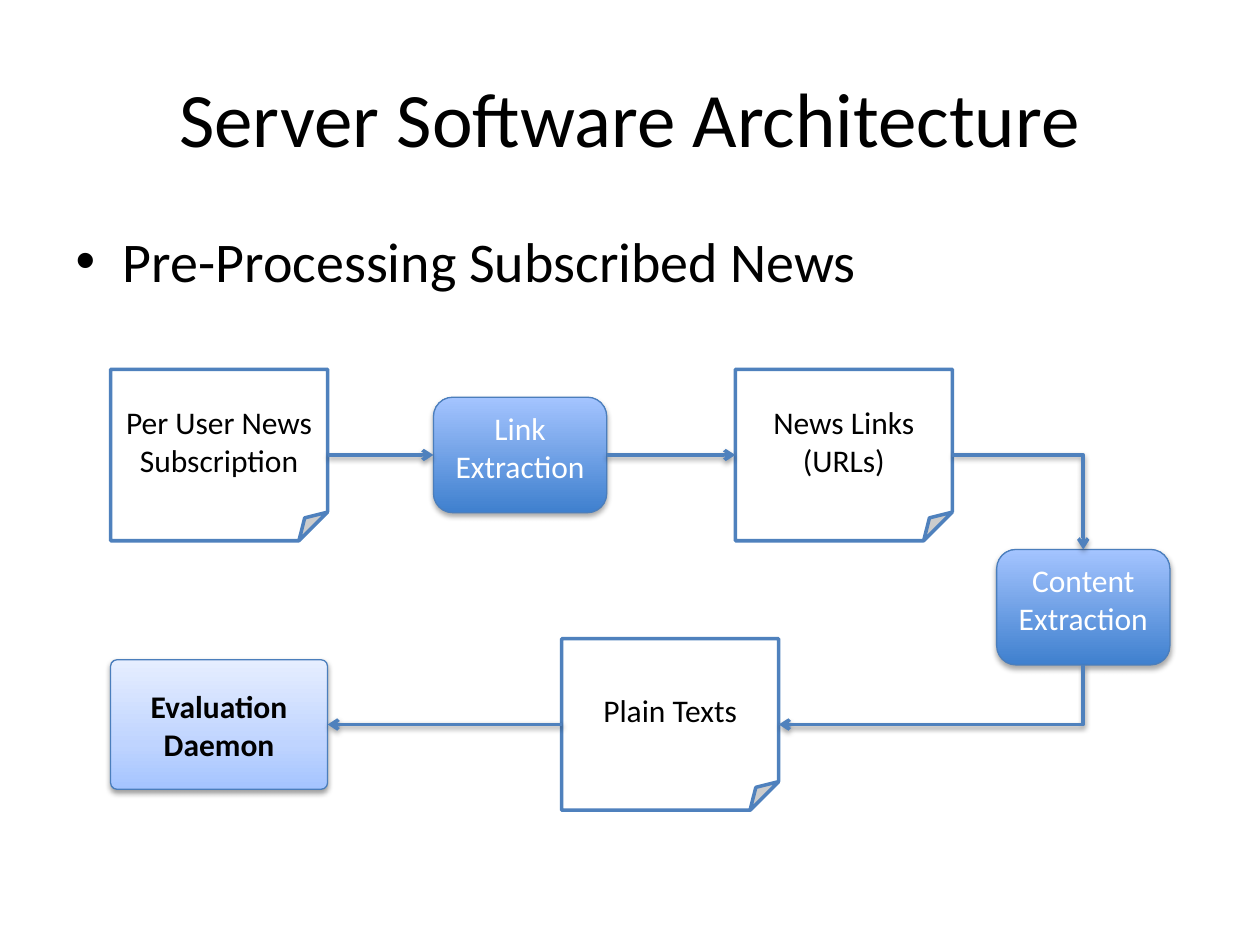
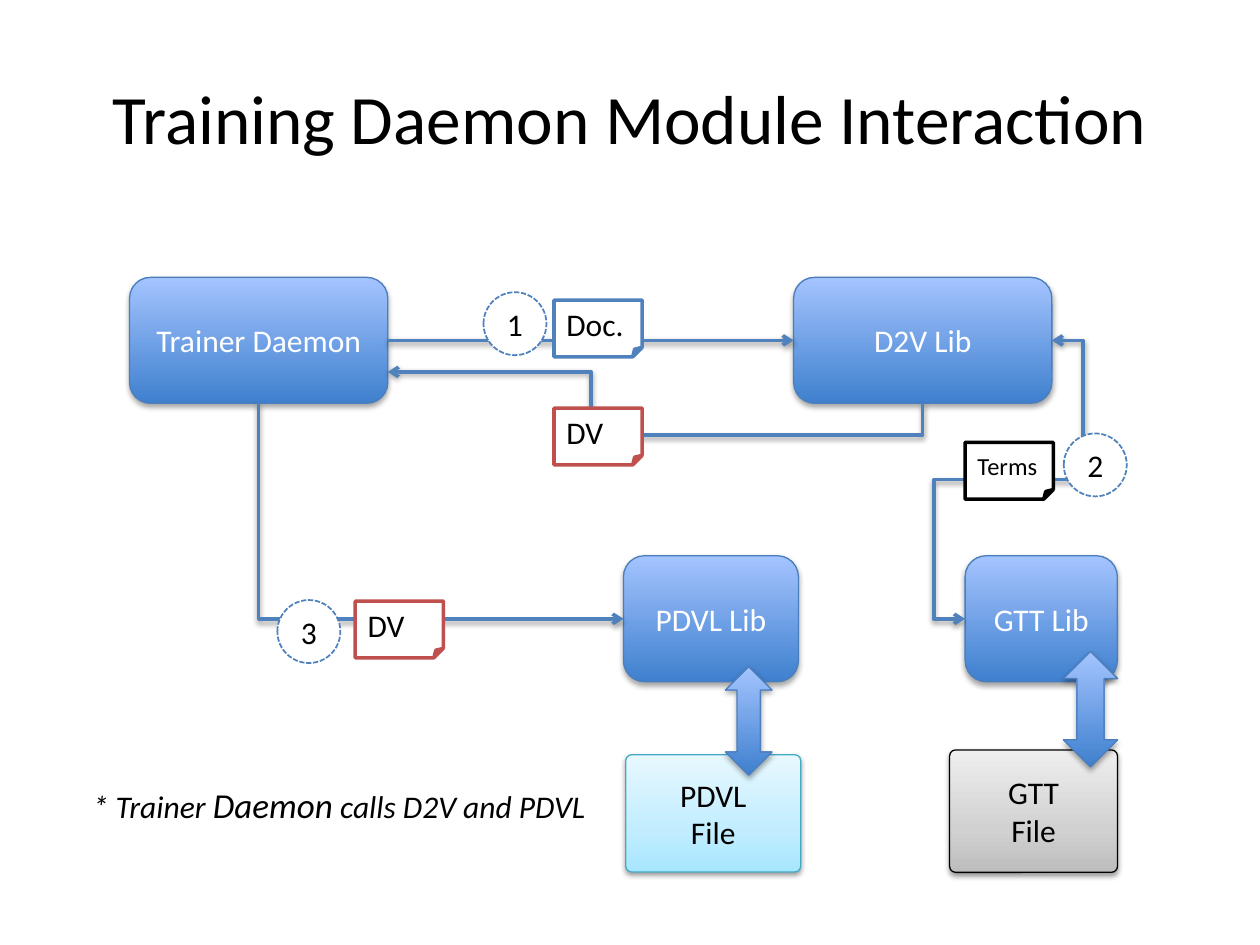
from dataclasses import dataclass

from lxml.etree import SubElement
from pptx import Presentation
from pptx.dml.color import RGBColor
from pptx.enum.dml import MSO_LINE
from pptx.enum.shapes import MSO_CONNECTOR, MSO_SHAPE
from pptx.enum.text import MSO_ANCHOR, MSO_AUTO_SIZE, PP_ALIGN
from pptx.oxml.ns import qn
from pptx.util import Pt


@dataclass(frozen=True)
class Theme:
    """Colours, gradients, shadows and type sizes shared by the slides."""
    font: str = "Calibri"
    ink: str = "000000"
    paper: str = "FFFFFF"
    accent: str = "4F81BD"
    edge: str = "4B7EBC"
    red: str = "C0504D"
    aqua: str = "46AAC5"
    deep_blue: tuple = ((0, "3F80CE"), (100, "A4C4FF"))
    pale_blue: tuple = ((0, "A4C4FF"), (35, "BFD4FF"), (100, "E6EEFF"))
    pale_aqua: tuple = ((0, "A7E6FF"), (35, "C1EDFF"), (100, "E7F8FF"))
    pale_grey: tuple = ((0, "BDBDBD"), (35, "D1D1D1"), (100, "EEEEEE"))
    soft_shadow: tuple = (38, 1.57)   # opacity in percent, distance in points
    deep_shadow: tuple = (35, 1.81)
    title: float = 44
    long_title: float = 39.6
    body: float = 32
    emphasis: float = 20
    label: float = 18
    small: float = 14


@dataclass(frozen=True)
class Box:
    """A region in points."""
    left: float
    top: float
    width: float
    height: float

    def inner(self, left, top, width, height):
        """Return a region placed relative to this one."""
        return Box(self.left + left, self.top + top, width, height)

    def lengths(self):
        """Return left, top, width and height as lengths."""
        return [Pt(v) for v in (self.left, self.top, self.width, self.height)]


THEME = Theme()
TITLE_BOX = Box(36, 21.6, 648, 90)
BODY_BOX = Box(36, 126, 648, 356.4)
NOTE_SIZE = (124, 98)
STEP_SIZE = (99, 66)
SLIP_SIZE = (50.4, 32.4)
BADGE_SIZE = (36, 36)
SIDES = {"top": (0.5, 0), "left": (0, 0.5), "bottom": (0.5, 1), "right": (1, 0.5)}
SITES = list(SIDES)


def set_formats(target, formats):
    """Set each named attribute of the target."""
    for name, value in formats.items():
        setattr(target, name, value)


def style_font(font, size, color=THEME.ink, **extra):
    """Give a font the theme's face, a size and a colour."""
    set_formats(font, {"name": THEME.font, "size": Pt(size), **extra})
    font.color.rgb = RGBColor.from_string(color)


def write(frame, lines, size, color=THEME.ink, align=PP_ALIGN.CENTER,
          anchor=MSO_ANCHOR.MIDDLE, **extra):
    """Write one paragraph for each line of the label."""
    set_formats(frame, {"text": lines, "word_wrap": True, "vertical_anchor": anchor,
                        "auto_size": MSO_AUTO_SIZE.NONE})
    for paragraph in frame.paragraphs:
        paragraph.alignment = align
        for run in paragraph.runs:
            style_font(run.font, size, color, **extra)


def style_line(line, color, width, dash=None):
    """Set the colour, width and dash of an outline."""
    line.fill.solid()
    line.fill.fore_color.rgb = RGBColor.from_string(color)
    set_formats(line, {"width": Pt(width), "dash_style": dash})


def add_color(parent, color):
    """Add an RGB colour element to a parent."""
    return SubElement(parent, qn("a:srgbClr"), val=color)


def cast_shadow(effects, opacity, distance):
    """Add a downward shadow to an effect list."""
    shadow = SubElement(effects, qn("a:outerShdw"), blurRad=str(Pt(3.15)),
                        dist=str(Pt(distance)), dir="5400000", rotWithShape="0")
    SubElement(add_color(shadow, THEME.ink), qn("a:alpha"), val=str(opacity * 1000))


def fill_gradient(fill, stops, properties):
    """Fill from bottom to top through the given stops."""
    fill.gradient()
    fill.gradient_angle = 90
    stop_list = properties.find(".//" + qn("a:gsLst"))
    for stop in list(stop_list):
        stop_list.remove(stop)
    for position, color in stops:
        add_color(SubElement(stop_list, qn("a:gs"), pos=str(position * 1000)), color)


def add_part(slide, kind, box, fill, edge, width, dash=None, shadow=None):
    """Add a preset shape with a plain or gradient fill."""
    part = slide.shapes.add_shape(kind, *box.lengths())
    properties = part._element.spPr
    if isinstance(fill, tuple):
        fill_gradient(part.fill, fill, properties)
    else:
        part.fill.solid()
        part.fill.fore_color.rgb = RGBColor.from_string(fill)
    style_line(part.line, edge, width, dash)
    part.shadow.inherit = False
    if shadow:
        cast_shadow(properties.find(qn("a:effectLst")), *shadow)
    return part


def add_page(slide, box, text, edge=THEME.accent, size=THEME.label,
             align=PP_ALIGN.CENTER):
    """Add a sheet with a folded corner, which stands for a document."""
    page = add_part(slide, MSO_SHAPE.FOLDED_CORNER, box, THEME.paper, edge, 2)
    write(page.text_frame, text, size, align=align)
    return page


def add_module(slide, box, text, kind=MSO_SHAPE.ROUNDED_RECTANGLE,
               anchor=MSO_ANCHOR.MIDDLE):
    """Add a deep blue block with white text."""
    module = add_part(slide, kind, box, THEME.deep_blue, THEME.edge, 0.75,
                      shadow=THEME.deep_shadow)
    if text:
        write(module.text_frame, text, THEME.label, THEME.paper, anchor=anchor)
    return module


def add_store(slide, box, text, fill, edge, bold=False):
    """Add a pale block with slightly rounded corners."""
    store = add_part(slide, MSO_SHAPE.ROUNDED_RECTANGLE, box, fill, edge, 0.75,
                     shadow=THEME.soft_shadow)
    store.adjustments[0] = 0.05
    write(store.text_frame, text, THEME.label, bold=bold)
    return store


def add_badge(slide, box, number):
    """Add a dashed circle with a step number."""
    badge = add_part(slide, MSO_SHAPE.OVAL, box, THEME.paper, THEME.accent, 1,
                     MSO_LINE.SQUARE_DOT)
    write(badge.text_frame, number, THEME.label)


def port(part, side):
    """Return the middle of one side of a part."""
    across, down = SIDES[side]
    return part.left + part.width * across, part.top + part.height * down


def style_arrow(arrow, ends=("tailEnd",)):
    """Give a connector its line, arrowheads and shadow."""
    style_line(arrow.line, THEME.accent, 2)
    properties = arrow._element.spPr
    for end in ends:
        SubElement(properties.find(qn("a:ln")), qn(f"a:{end}"), type="arrow")
    cast_shadow(SubElement(properties, qn("a:effectLst")), *THEME.soft_shadow)


def join_straight(slide, source, source_side, target, target_side):
    """Glue a straight arrow between two parts."""
    arrow = slide.shapes.add_connector(
        MSO_CONNECTOR.STRAIGHT, *map(int, port(source, source_side) + port(target, target_side)))
    arrow.begin_connect(source, SITES.index(source_side))
    arrow.end_connect(target, SITES.index(target_side))
    style_arrow(arrow)


def join_bent(slide, start, end, segments, turn=0, bends=(), ends=("tailEnd",)):
    """Add an elbow arrow, laid out unturned and then turned about its centre."""
    center_x, center_y = (start[0] + end[0]) / 2, (start[1] + end[1]) / 2
    cosine, sine = {0: (1, 0), 90: (0, 1), 270: (0, -1)}[turn]
    corners = []
    for x, y in (start, end):
        dx, dy = x - center_x, y - center_y
        corners += [int(center_x + dx * cosine + dy * sine),
                    int(center_y - dx * sine + dy * cosine)]
    arrow = slide.shapes.add_connector(MSO_CONNECTOR.ELBOW, *corners)
    properties = arrow._element.spPr
    if turn:
        properties.find(qn("a:xfrm")).set("rot", str(turn * 60000))
    geometry = properties.find(qn("a:prstGeom"))
    geometry.set("prst", f"bentConnector{segments}")
    guides = geometry.find(qn("a:avLst"))
    for number, bend in enumerate(bends, 1):
        SubElement(guides, qn("a:gd"), name=f"adj{number}",
                   fmla=f"val {round(bend * 100000)}")
    style_arrow(arrow, ends)


def fill_placeholder(holder, box, text, size, align, anchor):
    """Place and format a title or list placeholder."""
    set_formats(holder, dict(zip(("left", "top", "width", "height"), box.lengths())))
    write(holder.text_frame, text, size, align=align, anchor=anchor)


def start_slide(deck, layout, title, size):
    """Add a slide with its title."""
    slide = deck.slides.add_slide(deck.slide_layouts[layout])
    fill_placeholder(slide.shapes.title, TITLE_BOX, title, size,
                     PP_ALIGN.CENTER, MSO_ANCHOR.MIDDLE)
    return slide


def draw_preprocessing(slide, box):
    """Draw the path from a subscription to the evaluation daemon."""
    subscription, links, texts = (
        add_page(slide, box.inner(x, y, *NOTE_SIZE), text) for x, y, text in (
            (0, 0, "Per User News Subscription"),
            (357, 0, "News Links\n(URLs)"),
            (257.8, 154, "Plain Texts")))
    daemon = add_store(slide, box.inner(0, 166, 124, 74), "Evaluation\nDaemon",
                       THEME.pale_blue, THEME.edge, bold=True)
    content_step, link_step = (
        add_module(slide, box.inner(x, y, *STEP_SIZE), text,
                   MSO_SHAPE.FLOWCHART_ALTERNATE_PROCESS, MSO_ANCHOR.TOP)
        for x, y, text in ((506.3, 103, "Content Extraction"),
                           (184.5, 16, "Link Extraction")))
    join_bent(slide, port(links, "right"), port(content_step, "top"), 2)
    join_bent(slide, port(content_step, "bottom"), port(texts, "right"), 2, turn=90)
    join_straight(slide, subscription, "right", link_step, "left")
    join_straight(slide, link_step, "right", links, "left")
    join_straight(slide, texts, "left", daemon, "right")


def draw_remark(slide, box):
    """Write the remark below the modules."""
    frame = slide.shapes.add_textbox(*box.lengths()).text_frame
    set_formats(frame, {"word_wrap": False, "auto_size": MSO_AUTO_SIZE.SHAPE_TO_FIT_TEXT})
    for text, size in (("* Trainer ", THEME.label), ("Daemon", THEME.emphasis),
                       (" calls D2V and PDVL", THEME.label)):
        run = frame.paragraphs[0].add_run()
        run.text = text
        style_font(run.font, size, italic=True)


def draw_interaction(slide, box):
    """Draw the modules, their files and the documents they exchange."""
    d2v = add_module(slide, box.inner(407.5, 0, 147.6, 72), "D2V Lib")
    add_store(slide, box.inner(311.6, 272.8, 100, 67), "PDVL\nFile",
              THEME.pale_aqua, THEME.aqua)
    add_store(slide, box.inner(496.6, 270, 96, 70), "GTT\nFile",
              THEME.pale_grey, THEME.ink)
    trainer = add_module(slide, box.inner(28, 0, 147.6, 72), "Trainer Daemon")
    gtt = add_module(slide, box.inner(505.5, 159.1, 87, 72), "GTT Lib")
    pdvl = add_module(slide, box.inner(310.3, 159.1, 100, 72), "PDVL Lib")

    join_bent(slide, port(trainer, "right"), port(d2v, "left"), 3, bends=(0.5,))
    add_page(slide, box.inner(270.6, 13, *SLIP_SIZE), "Doc.", align=PP_ALIGN.LEFT)
    reply_x, reply_y = port(trainer, "right")
    join_bent(slide, port(d2v, "bottom"), (reply_x, reply_y + Pt(18)), 4,
              turn=90, bends=(-1, 0.62))
    join_bent(slide, port(d2v, "right"), port(gtt, "left"), 5,
              bends=(-0.36, 0.5, 1.36), ends=("headEnd", "tailEnd"))
    for place in ((561.7, 213.8, 31, 66), (368.6, 222.5, 26.6, 62)):
        add_module(slide, box.inner(*place), "", MSO_SHAPE.UP_DOWN_ARROW)
    join_bent(slide, port(trainer, "bottom"), port(pdvl, "left"), 2, turn=270)

    for x, y, text, edge, size in (
            (270.6, 74.7, "DV", THEME.red, THEME.label),
            (157, 185, "DV", THEME.red, THEME.label),
            (505.5, 94.3, "Terms", THEME.ink, THEME.small)):
        add_page(slide, box.inner(x, y, *SLIP_SIZE), text, edge, size, PP_ALIGN.LEFT)
    for number, (x, y) in enumerate(((230.3, 8.5), (561.9, 89.2), (112.5, 184.4)), 1):
        add_badge(slide, box.inner(x, y, *BADGE_SIZE), str(number))
    draw_remark(slide, box.inner(0, 285.8, 304.6, 31.7))


def build():
    """Build and save both slides."""
    deck = Presentation()
    set_formats(deck, {"slide_width": Pt(720), "slide_height": Pt(540)})
    architecture = start_slide(deck, 1, "Server Software Architecture", THEME.title)
    fill_placeholder(architecture.placeholders[1], BODY_BOX, "Pre-Processing Subscribed News",
                     THEME.body, PP_ALIGN.LEFT, MSO_ANCHOR.TOP)
    draw_preprocessing(architecture, Box(63.2, 211, 605.3, 252))
    interaction = start_slide(deck, 5, "Training Daemon Module Interaction", THEME.long_title)
    draw_interaction(interaction, Box(46, 158.5, 598, 340))
    deck.save("out.pptx")


build()
